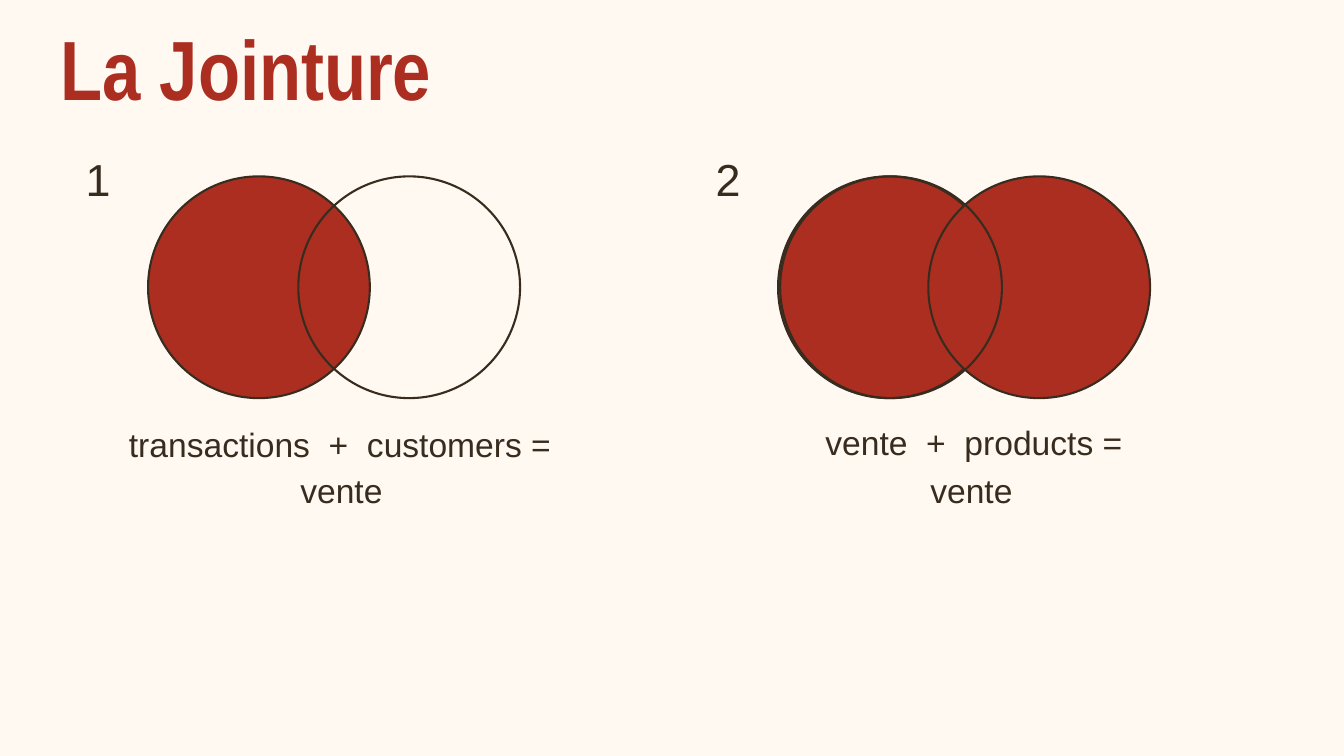
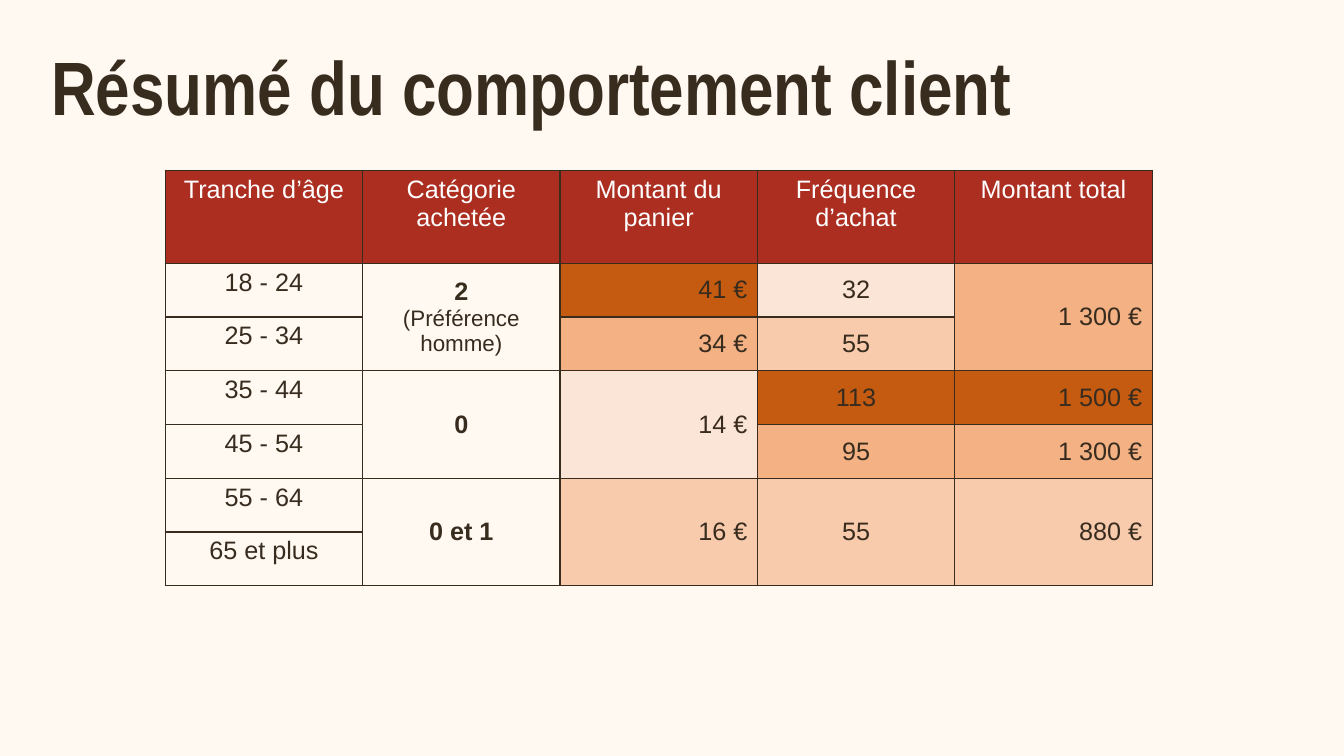
import pptx
import pptx.dml.color
import pptx.enum.shapes
import pptx.enum.text
import pptx.oxml
import pptx.oxml.ns
import pptx.util

Pt = pptx.util.Pt
RGBColor = pptx.dml.color.RGBColor
Align = pptx.enum.text.PP_ALIGN
Anchor = pptx.enum.text.MSO_ANCHOR

CREAM = RGBColor(0xFF, 0xF9, 0xF2)
BROWN = RGBColor(0x38, 0x2C, 0x1F)
RED = RGBColor(0xAB, 0x2E, 0x21)
WHITE = RGBColor(0xFF, 0xFF, 0xFF)
PALE = RGBColor(0xFB, 0xE5, 0xD6)
LIGHT = RGBColor(0xF8, 0xCB, 0xAD)
MEDIUM = RGBColor(0xF4, 0xB1, 0x83)
DARK = RGBColor(0xC5, 0x5A, 0x11)


class Presenter:
    body_font = "Arial"
    title_font = "Arial Narrow"
    border_width = 1
    outline_width = 1.5

    def __init__(self):
        self.deck = pptx.Presentation()
        self.deck.slide_width = Pt(960)
        self.deck.slide_height = Pt(540)
        self.paint(self.deck.slide_master.background.fill, CREAM)
        self.page = None

    def new_page(self):
        self.page = self.deck.slides.add_slide(self.deck.slide_layouts[6])

    def paint(self, fill, color):
        if color is None:
            fill.background()
        else:
            fill.solid()
            fill.fore_color.rgb = color

    def add_span(self, para, text, color=BROWN, **formats):
        span = para.add_run()
        span.text = text
        span.font.color.rgb = color
        values = {"name": self.body_font, "size": Pt(18), "bold": False, **formats}
        for name, value in values.items():
            setattr(span.font, name, value)

    def text(self, text, left, top, width, height, **formats):
        box = self.page.shapes.add_textbox(Pt(left), Pt(top), Pt(width), Pt(height))
        box.text_frame.word_wrap = True
        self.add_span(box.text_frame.paragraphs[0], text, **formats)

    def title(self, text, left, top, width, height, size, color):
        self.text(text, left, top, width, height, color=color,
                  name=self.title_font, size=Pt(size), bold=True)

    def circle(self, left, top, diameter, color=None):
        disc = self.page.shapes.add_shape(
            pptx.enum.shapes.MSO_SHAPE.OVAL, Pt(left), Pt(top), Pt(diameter), Pt(diameter))
        disc.shadow.inherit = False
        self.paint(disc.fill, color)
        disc.line.color.rgb = BROWN
        disc.line.width = Pt(self.outline_width)

    def table(self, left, top, column_widths, row_heights):
        frame = self.page.shapes.add_table(
            len(row_heights), len(column_widths), Pt(left), Pt(top),
            Pt(sum(column_widths)), Pt(sum(row_heights)))
        grid = frame.table
        grid.horz_banding = False
        for column, width in zip(grid.columns, column_widths):
            column.width = Pt(width)
        for row, height in zip(grid.rows, row_heights):
            row.height = Pt(height)
        for cell in grid.iter_cells():
            self.border(cell)
            self.paint(cell.fill, None)
        return grid

    def border(self, cell):
        properties = cell._tc.get_or_add_tcPr()
        for position, side in enumerate(("lnL", "lnR", "lnT", "lnB")):
            properties.insert(position, pptx.oxml.parse_xml(
                f'<a:{side} {pptx.oxml.ns.nsdecls("a")} w="{Pt(self.border_width)}">'
                f'<a:solidFill><a:srgbClr val="{BROWN}"/></a:solidFill></a:{side}>'))

    def cell(self, cell, lines, align, anchor, fill=None):
        self.paint(cell.fill, fill)
        cell.vertical_anchor = anchor
        for index, (text, formats) in enumerate(lines):
            frame = cell.text_frame
            para = frame.add_paragraph() if index else frame.paragraphs[0]
            para.alignment = align
            self.add_span(para, text, **formats)


def build_join_page(show):
    show.new_page()
    show.title("La Jointure", 36, 8.6, 297, 80, 60, RED)
    panels = [
        ("1", 54, [(51.8, RED), (159.1, None)],
         "transactions  +  customers =", 31, 299.5, 334),
        ("2", 504, [(51.8, RED), (159.1, RED), (53.3, None)],
         "vente  +  products =", 78.5, 298.1, 239),
    ]
    for number, left, circles, formula, indent, top, width in panels:
        show.text(number, left, 105.1, 32.4, 46, size=Pt(32))
        for offset, color in circles:
            show.circle(left + offset, 126, 158.4, color)
        show.text(formula, left + indent, top, width, 36, size=Pt(24))
        show.text("vente", left + 153.4, 332, 76.4, 36, size=Pt(24))


def build_summary_page(show):
    show.new_page()
    show.title("Résumé du comportement client", 29.5, 25.2, 882.7, 72.7, 54, BROWN)
    headings = ["Tranche d’âge", "Catégorie achetée", "Montant du panier",
                "Fréquence d’achat", "Montant total"]
    ages = ["18 - 24", "25 - 34", "35 - 44", "45 - 54", "55 - 64", "65 et plus"]
    categories = [(1, "2", "(Préférence homme)"), (3, "0"), (5, "0 et 1")]
    amounts = [
        (1, 1, 2, "41 €", DARK), (2, 1, 2, "34 €", MEDIUM),
        (3, 2, 2, "14 €", PALE), (5, 2, 2, "16 €", LIGHT),
        (1, 1, 3, "32", PALE), (2, 1, 3, "55", LIGHT),
        (3, 1, 3, "113", DARK), (4, 1, 3, "95", MEDIUM), (5, 2, 3, "55", LIGHT),
        (1, 2, 4, "1 300 €", MEDIUM), (3, 1, 4, "1 500 €", DARK),
        (4, 1, 4, "1 300 €", MEDIUM), (5, 2, 4, "880 €", LIGHT),
    ]
    grid = show.table(118, 121.7, [141] * len(headings), [66.4] + [38.4] * len(ages))
    for column, heading in enumerate(headings):
        show.cell(grid.cell(0, column), [(heading, {"color": WHITE})],
                  Align.CENTER, Anchor.TOP, RED)
    for row, age in enumerate(ages, start=1):
        show.cell(grid.cell(row, 0), [(age, {})], Align.CENTER, Anchor.TOP)
    for row, category, *details in categories:
        lines = [(category, {"bold": True})]
        lines += [(detail, {"size": Pt(16)}) for detail in details]
        grid.cell(row, 1).merge(grid.cell(row + 1, 1))
        show.cell(grid.cell(row, 1), lines, Align.CENTER, Anchor.MIDDLE)
    for row, height, column, text, fill in amounts:
        if height > 1:
            grid.cell(row, column).merge(grid.cell(row + height - 1, column))
        align = Align.RIGHT if text.endswith("€") else Align.CENTER
        show.cell(grid.cell(row, column), [(text, {})], align, Anchor.MIDDLE, fill)


def main():
    show = Presenter()
    build_join_page(show)
    build_summary_page(show)
    show.deck.save("out.pptx")


if __name__ == "__main__":
    main()
